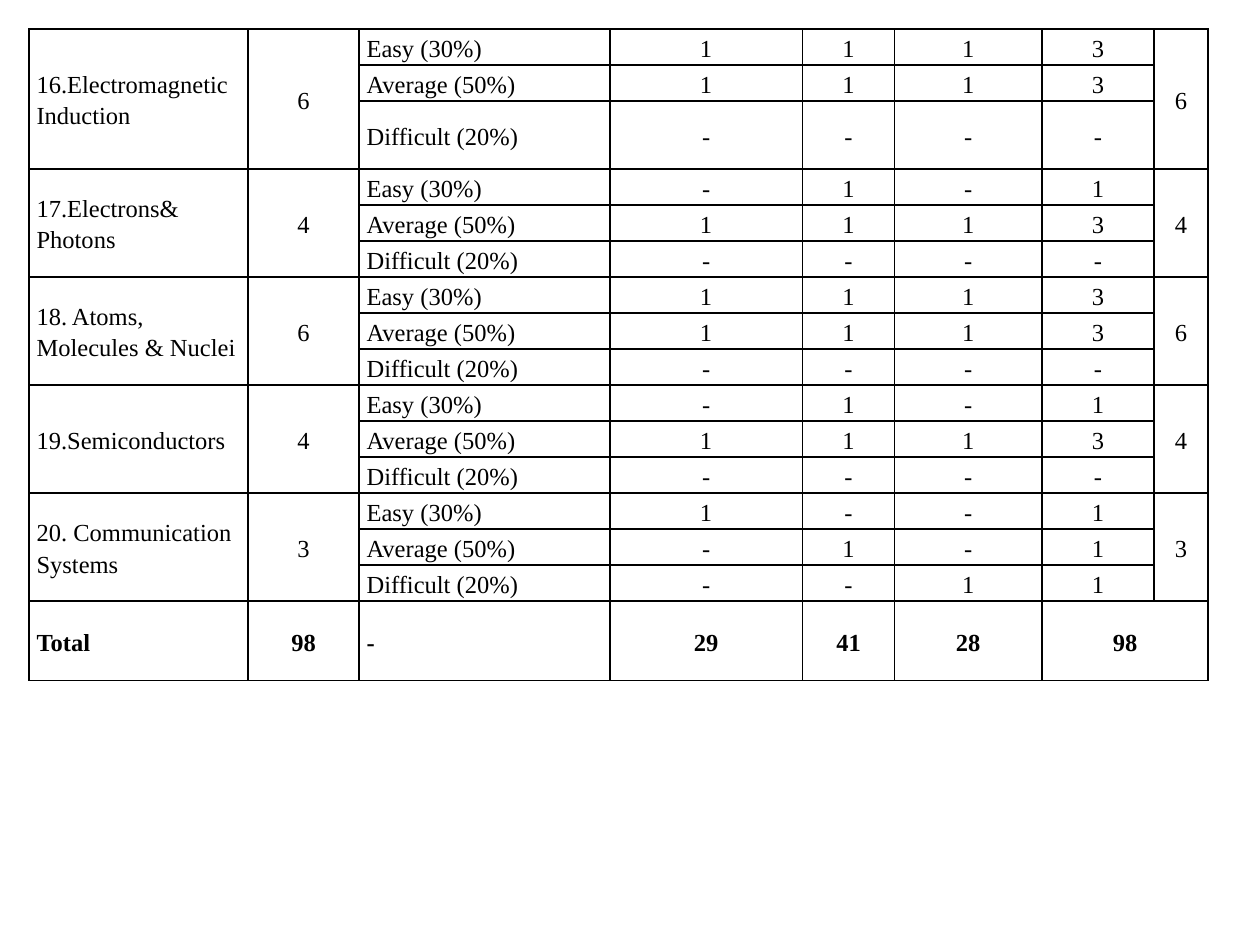
"""Build the closing page of a question blueprint table."""
import dataclasses

import pptx
import pptx.dml.color
import pptx.enum.text
import pptx.oxml
import pptx.oxml.ns
import pptx.presentation
import pptx.table
import pptx.util

FONT = "Times New Roman"
BLACK = "000000"
PAGE_WIDTH, PAGE_HEIGHT = 10, 7.5
TABLE_LEFT = TABLE_TOP = 0.23
COLUMN_WIDTHS = [1.74, 0.88, 1.99, 1.53, 0.73, 1.17, 0.89, 0.43]
LEVELS = ["Easy (30%)", "Average (50%)", "Difficult (20%)"]
BODY_ROW = 4.29 / 15
TALL_ROW = 0.54
TOTAL_ROW = 0.63
LEFT_COLUMNS = (0, 2)
SPANNING_COLUMNS = (0, 1, 7)


@dataclasses.dataclass
class Chapter:
    """A chapter with its question counts, one string per level."""

    title: str
    counts: tuple[str, str, str]


CHAPTERS = [
    Chapter("16.Electromagnetic Induction", ("111", "111", "---")),
    Chapter("17.Electrons& Photons", ("-1-", "111", "---")),
    Chapter("18. Atoms, Molecules & Nuclei", ("111", "111", "---")),
    Chapter("19.Semiconductors", ("-1-", "111", "---")),
    Chapter("20. Communication Systems", ("1--", "-1-", "--1")),
]
TOTALS = ["Total", "98", "-", "29", "41", "28", "98", ""]


def color(value: str) -> pptx.dml.color.RGBColor:
    """Turn a hex string into a colour."""
    return pptx.dml.color.RGBColor.from_string(value)


def add_borders(cell: pptx.table._Cell, points: float, value: str) -> None:
    """Draw a solid line on each side of a cell."""
    properties = cell._tc.get_or_add_tcPr()
    for side in ("lnL", "lnR", "lnT", "lnB"):
        properties.append(pptx.oxml.parse_xml(
            f'<a:{side} {pptx.oxml.ns.nsdecls("a")} w="{pptx.util.Pt(points)}">'
            f'<a:solidFill><a:srgbClr val="{value}"/></a:solidFill></a:{side}>'
        ))


def write_cell(cell: pptx.table._Cell, text: str, *, centered: bool, bold: bool) -> None:
    """Fill a cell with one formatted paragraph."""
    add_borders(cell, 1, BLACK)
    cell.fill.background()
    cell.vertical_anchor = pptx.enum.text.MSO_ANCHOR.MIDDLE
    cell.margin_left = cell.margin_right = pptx.util.Inches(0.06)
    cell.margin_top = cell.margin_bottom = 0
    para = cell.text_frame.paragraphs[0]
    para.line_spacing = 1.15
    if centered:
        para.alignment = pptx.enum.text.PP_ALIGN.CENTER
    para.font.size = pptx.util.Pt(14)
    if text:
        span = para.add_run()
        span.text = text
        span.font.name = FONT
        span.font.size = pptx.util.Pt(14)
        span.font.bold = bold
        span.font.color.rgb = color(BLACK)


def chapter_rows(chapter: Chapter) -> list[list[str]]:
    """List the texts of a chapter's rows, with sums worked out."""
    sums = [sum(int(mark) for mark in marks if mark != "-") for marks in chapter.counts]
    total = str(sum(sums))
    rows = [
        ["", "", level, *marks, str(row_sum or "-"), ""]
        for level, marks, row_sum in zip(LEVELS, chapter.counts, sums)
    ]
    for column, text in zip(SPANNING_COLUMNS, (chapter.title, total, total)):
        rows[0][column] = text
    return rows


def add_blueprint(page: pptx.slide.Slide) -> None:
    """Add the table of chapters and its total row."""
    texts = [row for chapter in CHAPTERS for row in chapter_rows(chapter)] + [TOTALS]
    heights = [BODY_ROW] * (len(texts) - 1) + [TOTAL_ROW]
    heights[len(LEVELS) - 1] = TALL_ROW
    bounds = (TABLE_LEFT, TABLE_TOP, sum(COLUMN_WIDTHS), sum(heights))
    table = page.shapes.add_table(
        len(texts), len(COLUMN_WIDTHS), *map(pptx.util.Inches, bounds)
    ).table
    table.first_row = table.horz_banding = False
    for column, width in zip(table.columns, COLUMN_WIDTHS):
        column.width = pptx.util.Inches(width)
    for row, height in zip(table.rows, heights):
        row.height = pptx.util.Inches(height)
    last = len(texts) - 1
    for row, row_texts in enumerate(texts):
        for column, text in enumerate(row_texts):
            write_cell(
                table.cell(row, column),
                text,
                centered=column not in LEFT_COLUMNS,
                bold=row == last,
            )
    for top in range(0, last, len(LEVELS)):
        for column in SPANNING_COLUMNS:
            table.cell(top, column).merge(table.cell(top + len(LEVELS) - 1, column))
    table.cell(last, 6).merge(table.cell(last, 7))


def main() -> None:
    """Build and save the deck."""
    deck = pptx.Presentation()
    deck.slide_width = pptx.util.Inches(PAGE_WIDTH)
    deck.slide_height = pptx.util.Inches(PAGE_HEIGHT)
    add_blueprint(deck.slides.add_slide(deck.slide_layouts[6]))
    deck.save("out.pptx")


if __name__ == "__main__":
    main()
